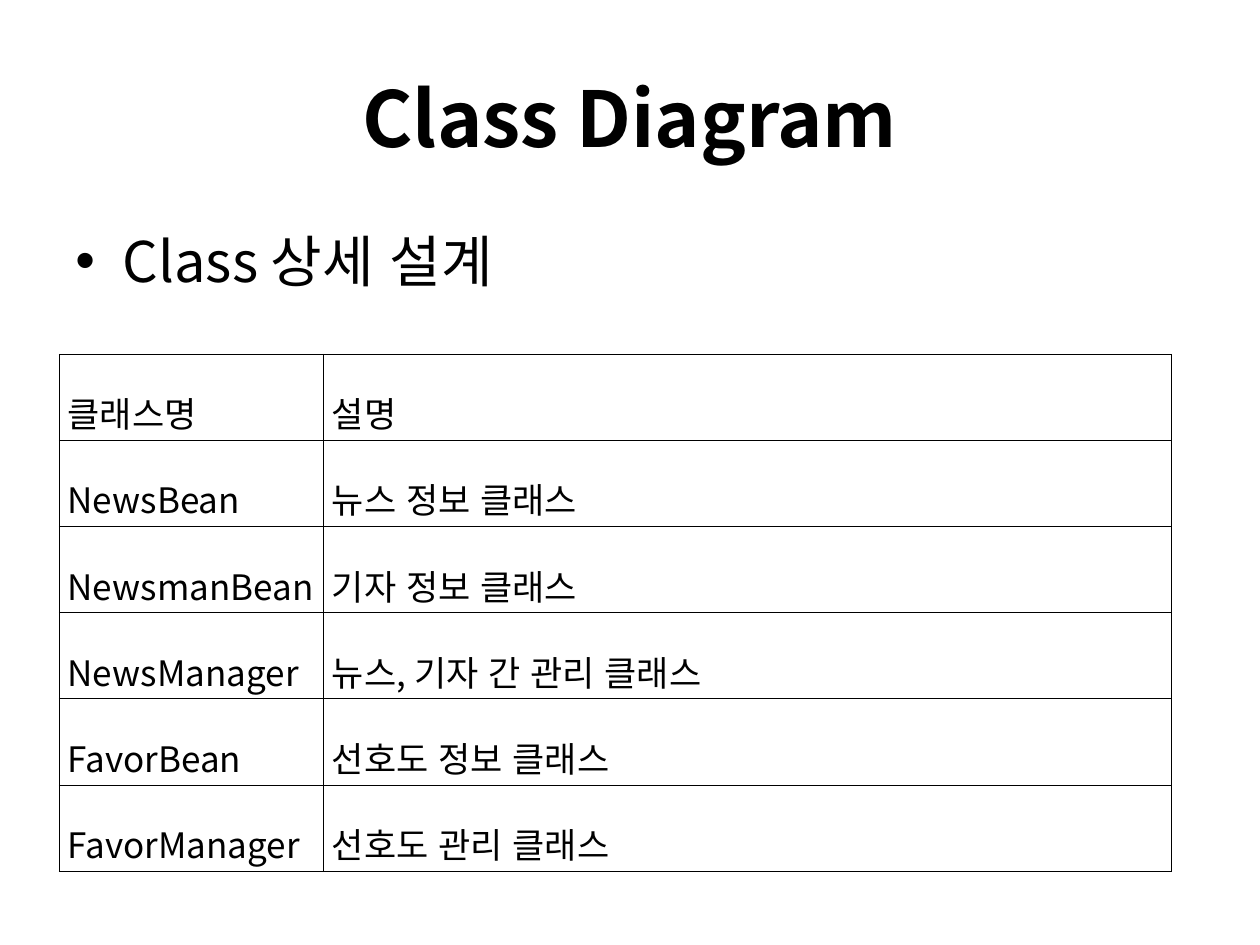
from lxml import etree
from pptx import Presentation
from pptx.dml.color import RGBColor
from pptx.enum.text import MSO_ANCHOR, PP_ALIGN
from pptx.oxml.ns import qn
from pptx.util import Pt

MIDDLE, TOP = MSO_ANCHOR.MIDDLE, MSO_ANCHOR.TOP
CENTER, LEFT, JUSTIFY = PP_ALIGN.CENTER, PP_ALIGN.LEFT, PP_ALIGN.JUSTIFY

FONT, BLACK, WHITE = "Noto Sans CJK KR", "000000", "FFFFFF"
TITLE = "Class Diagram"
SUBJECT = "Class 상세 설계"
CLASSES = [
    ("클래스명", "설명"),
    ("NewsBean", "뉴스 정보 클래스"),
    ("NewsmanBean", "기자 정보 클래스"),
    ("NewsManager", "뉴스, 기자 간 관리 클래스"),
    ("FavorBean", "선호도 정보 클래스"),
    ("FavorManager", "선호도 관리 클래스"),
]
COLUMN_WIDTHS = (151, 484.6)
ROW_HEIGHT = 49.22
BORDER_WIDTH = 0.28
BULLET_INDENT = 27


def color(value):
    return RGBColor.from_string(value)


def write(para, text, size, align, bold=False):
    para.alignment = align
    span = para.add_run()
    span.text = text
    font = span.font
    font.name, font.size, font.bold = FONT, Pt(size), bold
    font.color.rgb = color(BLACK)
    properties = font._element
    properties.set("lang", "ko-KR")
    etree.SubElement(properties, qn("a:ea"), typeface=FONT)


def add_text(page, place, text, size, align, anchor, bold=False):
    box = page.shapes.add_textbox(*map(Pt, place))
    box.text_frame.word_wrap = True
    box.text_frame.vertical_anchor = anchor
    para = box.text_frame.paragraphs[0]
    write(para, text, size, align, bold)
    return para


def add_bullet(para):
    properties = para._p.get_or_add_pPr()
    properties.set("marL", str(Pt(BULLET_INDENT)))
    properties.set("indent", str(-Pt(BULLET_INDENT)))
    etree.SubElement(properties, qn("a:buFont"), typeface="Arial")
    etree.SubElement(properties, qn("a:buChar"), char="•")


def add_borders(cell):
    properties = cell._tc.get_or_add_tcPr()
    for position, side in enumerate(("lnL", "lnR", "lnT", "lnB")):
        line = etree.Element(qn(f"a:{side}"), w=str(Pt(BORDER_WIDTH)))
        fill = etree.SubElement(line, qn("a:solidFill"))
        etree.SubElement(fill, qn("a:srgbClr"), val=BLACK)
        properties.insert(position, line)


def add_class_table(page, left, top):
    frame = page.shapes.add_table(
        len(CLASSES), len(COLUMN_WIDTHS), Pt(left), Pt(top),
        Pt(sum(COLUMN_WIDTHS)), Pt(ROW_HEIGHT * len(CLASSES)))
    table = frame.table
    table.first_row = table.horz_banding = False
    for column, width in zip(table.columns, COLUMN_WIDTHS):
        column.width = Pt(width)
    for row, texts in zip(table.rows, CLASSES):
        row.height = Pt(ROW_HEIGHT)
        for cell, text in zip(row.cells, texts):
            cell.fill.solid()
            cell.fill.fore_color.rgb = color(WHITE)
            cell.vertical_anchor = MIDDLE
            cell.margin_left = cell.margin_right = Pt(4.9)
            cell.margin_top = cell.margin_bottom = Pt(1.4)
            para = cell.text_frame.paragraphs[0]
            para.line_spacing = 1.6
            write(para, text, 20, JUSTIFY)
            add_borders(cell)


def main():
    deck = Presentation()
    deck.slide_width, deck.slide_height = Pt(720), Pt(540)
    page = deck.slides.add_slide(deck.slide_layouts[6])
    subject = add_text(page, (36, 126, 648, 356.4), SUBJECT, 32, LEFT, TOP)
    add_bullet(subject)
    add_text(page, (36, 21.6, 648, 90), TITLE, 44, CENTER, MIDDLE, bold=True)
    add_class_table(page, 33.8, 202.4)
    deck.save("out.pptx")


if __name__ == "__main__":
    main()
